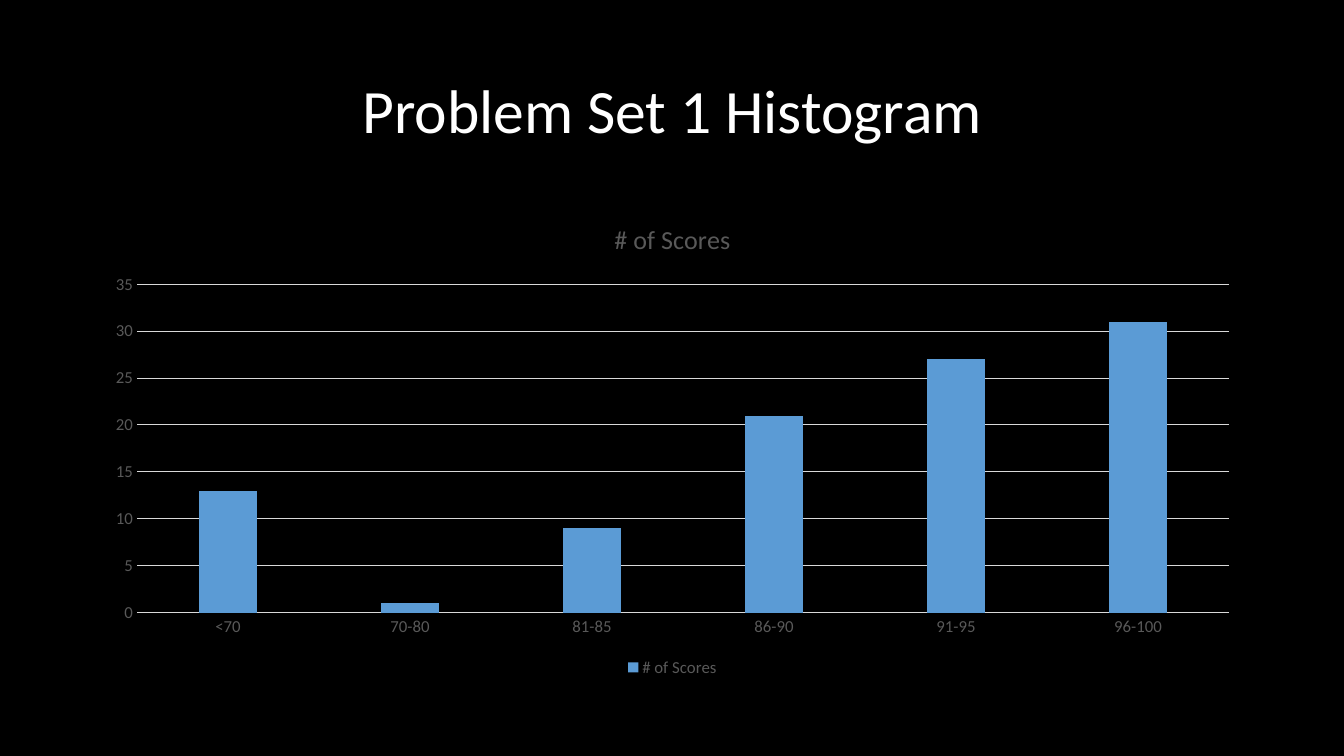
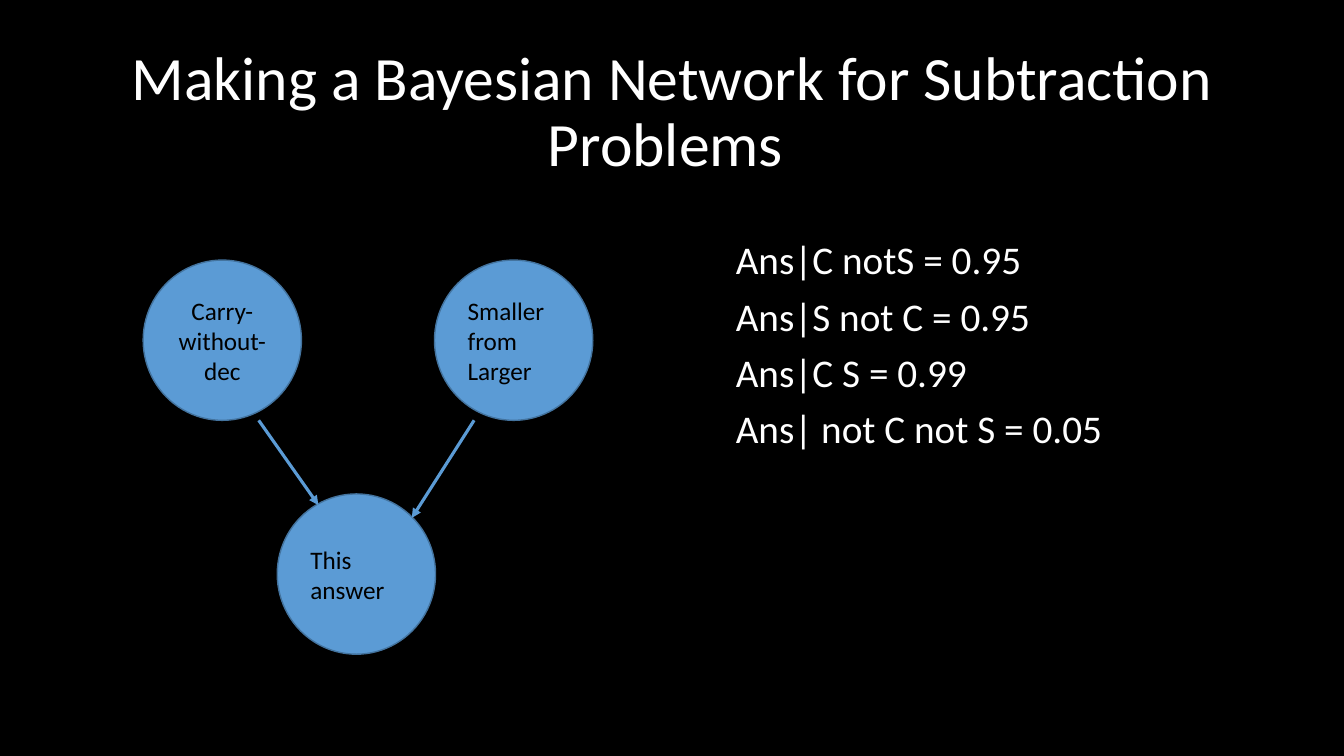
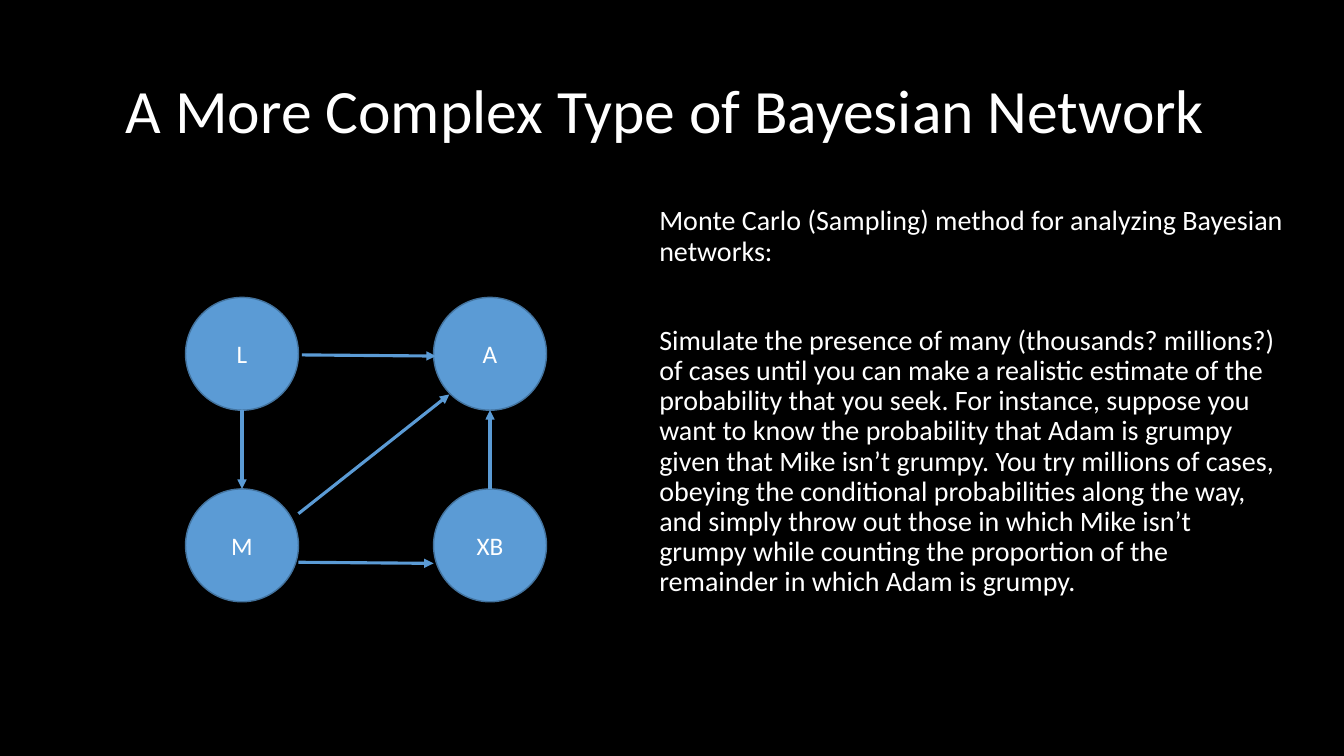
from lxml.etree import SubElement
from pptx import Presentation
from pptx.chart.data import CategoryChartData
from pptx.dml.color import RGBColor
from pptx.enum.chart import XL_CHART_TYPE as ChartType, XL_LEGEND_POSITION as LegendPosition
from pptx.enum.chart import XL_TICK_MARK as TickMark
from pptx.enum.shapes import MSO_CONNECTOR as Connector, MSO_SHAPE as Shape
from pptx.enum.text import MSO_ANCHOR as Anchor, MSO_AUTO_SIZE as AutoSize, PP_ALIGN as Align
from pptx.oxml.ns import qn
from pptx.util import Inches, Pt

BLACK = RGBColor(0x00, 0x00, 0x00)
WHITE = RGBColor(0xFF, 0xFF, 0xFF)
BLUE = RGBColor(0x5B, 0x9B, 0xD5)
DARK_BLUE = RGBColor(0x43, 0x73, 0x9E)
GRAY = RGBColor(0x59, 0x59, 0x59)
LIGHT_GRAY = RGBColor(0xD9, 0xD9, 0xD9)

FONT = "Calibri"
WIDTH, HEIGHT = 13.33, 7.5
MARGIN = 0.92
CONTENT_WIDTH = 11.5
TITLE_BOX = (MARGIN, 0.4, CONTENT_WIDTH, 1.45)
CHART_BOX = (MARGIN, 2, CONTENT_WIDTH, 4.76)
TITLE_ONLY = 5


def assign(target, formats):
    for name, value in formats.items():
        setattr(target, name, value)


def set_font(font, size, color):
    assign(font, {"name": FONT, "size": Pt(size), "bold": False})
    font.color.rgb = color


def set_line(line, color, width):
    line.color.rgb = color
    line.width = Pt(width)


def place(item, box):
    assign(item, dict(zip(("left", "top", "width", "height"), map(Inches, box))))


def write(frame, texts, size, color, para_format, anchor):
    assign(frame, {"word_wrap": True, "auto_size": AutoSize.NONE, "vertical_anchor": anchor})
    for index, text in enumerate(texts):
        para = frame.add_paragraph() if index else frame.paragraphs[0]
        assign(para, para_format)
        span = para.add_run()
        span.text = text
        set_font(span.font, size, color)


def add_page(deck, title):
    page = deck.slides.add_slide(deck.slide_layouts[TITLE_ONLY])
    place(page.shapes.title, TITLE_BOX)
    write(page.shapes.title.text_frame, [title], 44, WHITE,
          {"alignment": Align.CENTER, "line_spacing": 0.9}, Anchor.MIDDLE)
    return page


def add_body(page, box, texts, size, gap):
    body = page.shapes.add_textbox(*map(Inches, box))
    write(body.text_frame, texts, size, WHITE,
          {"line_spacing": 0.9, "space_before": Pt(gap)}, Anchor.TOP)
    body.text_frame.paragraphs[0].space_before = Pt(10)


def add_node(page, box, label, color, align=Align.CENTER):
    node = page.shapes.add_shape(Shape.OVAL, *map(Inches, box))
    node.shadow.inherit = False
    node.fill.solid()
    node.fill.fore_color.rgb = BLUE
    set_line(node.line, DARK_BLUE, 1)
    write(node.text_frame, [label], 18, color, {"alignment": align}, Anchor.MIDDLE)
    return node


def point_on(node, across, down):
    return int(node.left + across * node.width), int(node.top + down * node.height)


def add_arrow(page, source, start, target, end):
    arrow = page.shapes.add_connector(
        Connector.STRAIGHT, *point_on(source, *start), *point_on(target, *end))
    set_line(arrow.line, BLUE, 2.25)
    SubElement(arrow.line._get_or_add_ln(), qn("a:tailEnd"), type="triangle")
    SubElement(arrow._element.spPr, qn("a:effectLst"))


def add_column_chart(page, box, name, scores):
    data = CategoryChartData()
    data.categories = list(scores)
    data.add_series(name, list(scores.values()))
    chart = page.shapes.add_chart(
        ChartType.COLUMN_CLUSTERED, *map(Inches, box), data).chart
    set_font(chart.font, 12, GRAY)
    assign(chart, {"has_title": True, "has_legend": True})
    chart.chart_title.text_frame.text = name
    set_font(chart.chart_title.text_frame.paragraphs[0].runs[0].font, 18.6, GRAY)
    assign(chart.legend, {"position": LegendPosition.BOTTOM, "include_in_layout": False})
    for axis in (chart.category_axis, chart.value_axis):
        assign(axis, {"major_tick_mark": TickMark.NONE, "minor_tick_mark": TickMark.NONE})
        set_font(axis.tick_labels.font, 12, GRAY)
    set_line(chart.category_axis.format.line, LIGHT_GRAY, 0.75)
    assign(chart.value_axis, {"minimum_scale": 0, "maximum_scale": 35, "major_unit": 5})
    chart.value_axis.format.line.fill.background()
    set_line(chart.value_axis.major_gridlines.format.line, LIGHT_GRAY, 0.75)
    plot = chart.plots[0]
    assign(plot, {"gap_width": 219, "overlap": -27, "vary_by_categories": False})
    fill = plot.series[0].format.fill
    fill.solid()
    fill.fore_color.rgb = BLUE


def add_histogram(deck):
    page = add_page(deck, "Problem Set 1 Histogram")
    add_column_chart(page, CHART_BOX, "# of Scores", {
        "<70": 13, "70-80": 1, "81-85": 9, "86-90": 21, "91-95": 27, "96-100": 31})


def add_subtraction_network(deck):
    page = add_page(deck, "Making a Bayesian Network for Subtraction Problems ")
    add_body(page, (7.2, 2.34, 4.26, 3.66), [
        "Ans|C notS = 0.95",
        "Ans|S not C = 0.95",
        "Ans|C S = 0.99",
        "Ans| not C not S = 0.05",
    ], 28, 10)
    size = (1.57, 1.59)
    carry = add_node(page, (1.42, 2.58, *size), "Carry-without-dec", BLACK)
    smaller = add_node(page, (4.31, 2.58, *size), "Smaller from Larger", BLACK, Align.LEFT)
    answer = add_node(page, (2.75, 4.9, *size), "This answer", BLACK, Align.LEFT)
    add_arrow(page, smaller, (0.25, 1), answer, (0.85, 0.15))
    add_arrow(page, carry, (0.73, 1), answer, (0.26, 0.07))


def add_complex_network(deck):
    page = add_page(deck, "A More Complex Type of Bayesian Network ")
    add_body(page, (6.44, 2, 6.39, 4.62), [
        "Monte Carlo (Sampling) method for analyzing Bayesian networks:",
        "Simulate the presence of many (thousands? millions?) of cases until you can make "
        "a realistic estimate of the probability that you seek. For instance, suppose you "
        "want to know the probability that Adam is grumpy given that Mike isn’t grumpy. "
        "You try millions of cases, obeying the conditional probabilities along the way, "
        "and simply throw out those in which Mike isn’t grumpy while counting the "
        "proportion of the remainder in which Adam is grumpy.",
    ], 20, 42)
    size, left, top, column, row = 1.12, 1.84, 2.95, 2.46, 1.9
    cells = {"L": (0, 0), "M": (0, 1), "XB": (1, 1), "A": (1, 0)}
    nodes = {
        label: add_node(page, (left + across * column, top + down * row, size, size),
                        label, WHITE)
        for label, (across, down) in cells.items()}
    for source, start, target, end in (
            ("L", (0.5, 1), "M", (0.5, 0)),
            ("M", (1, 0.65), "XB", (0, 0.66)),
            ("L", (1.03, 0.51), "A", (0.02, 0.52)),
            ("M", (1, 0.22), "A", (0.14, 0.86)),
            ("XB", (0.5, 0), "A", (0.5, 1))):
        add_arrow(page, nodes[source], start, nodes[target], end)


def main():
    deck = Presentation()
    assign(deck, {"slide_width": Inches(WIDTH), "slide_height": Inches(HEIGHT)})
    background = deck.slide_master.background.fill
    background.solid()
    background.fore_color.rgb = BLACK
    add_histogram(deck)
    add_subtraction_network(deck)
    add_complex_network(deck)
    deck.save("out.pptx")


if __name__ == "__main__":
    main()
